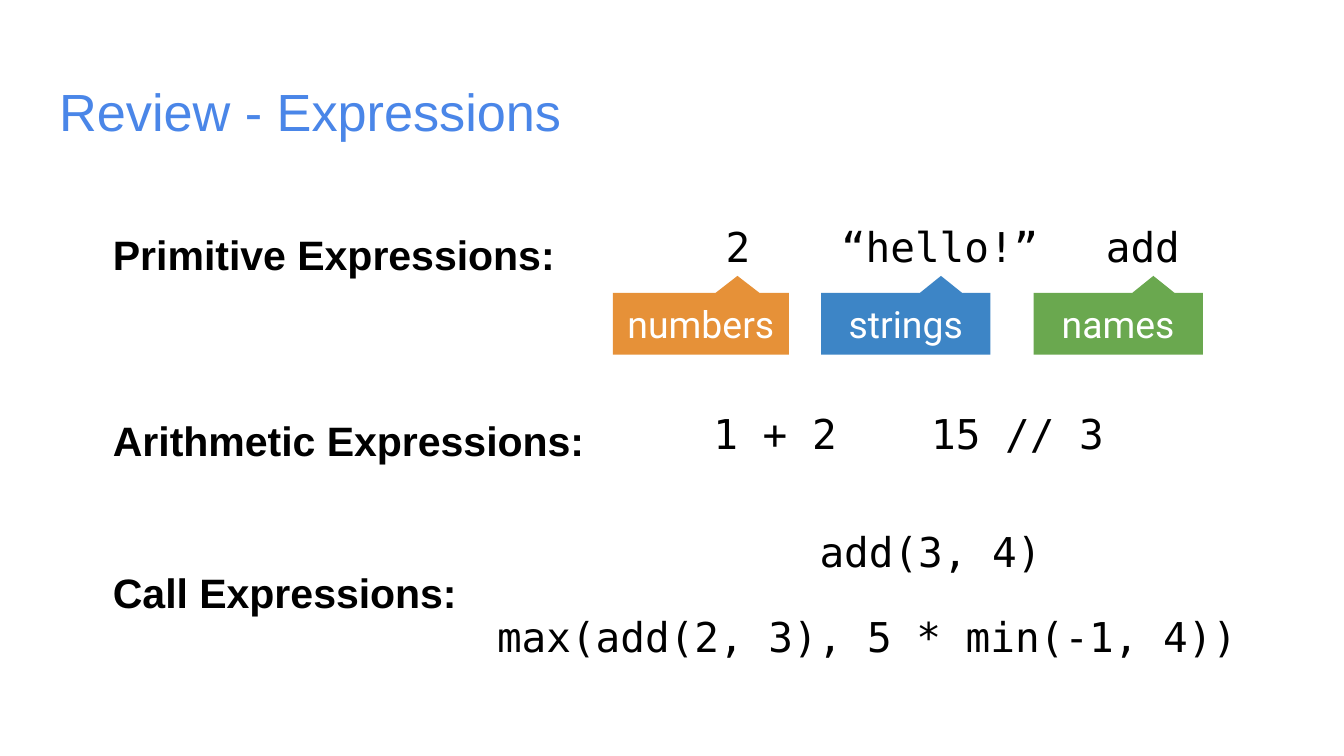
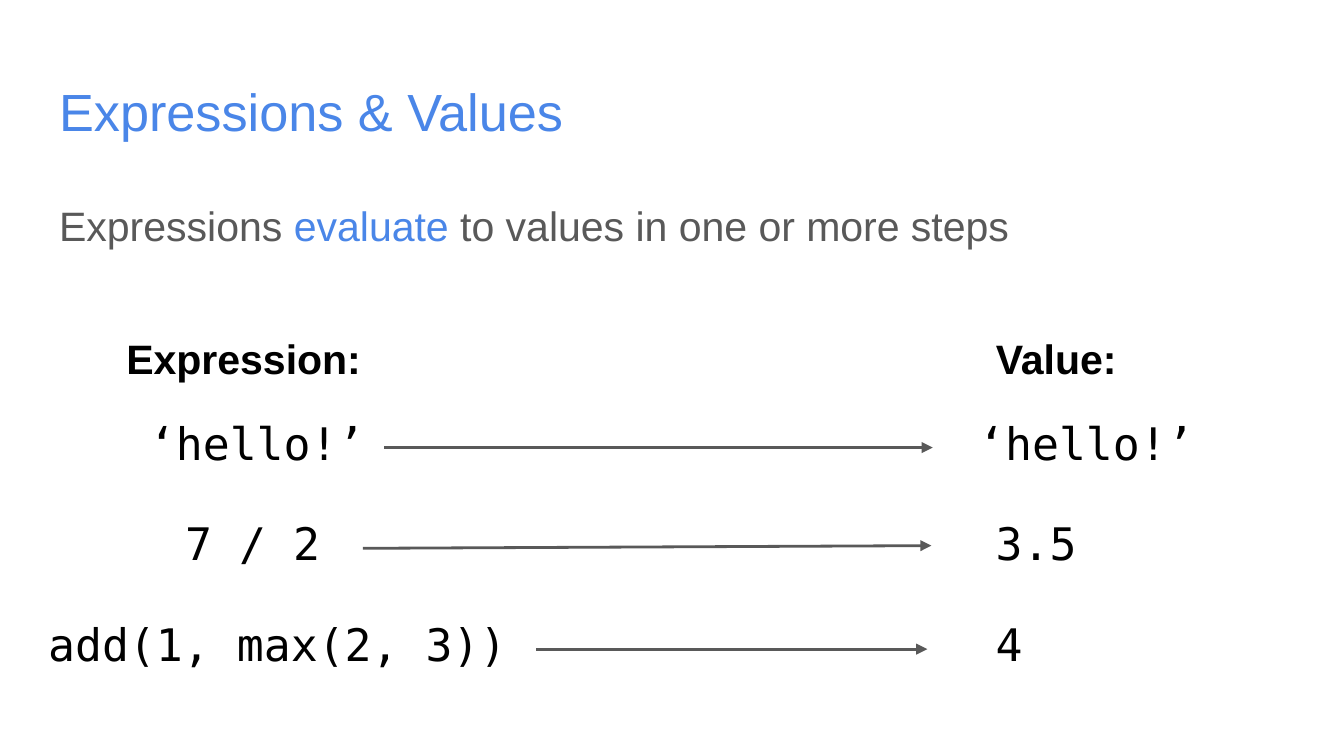
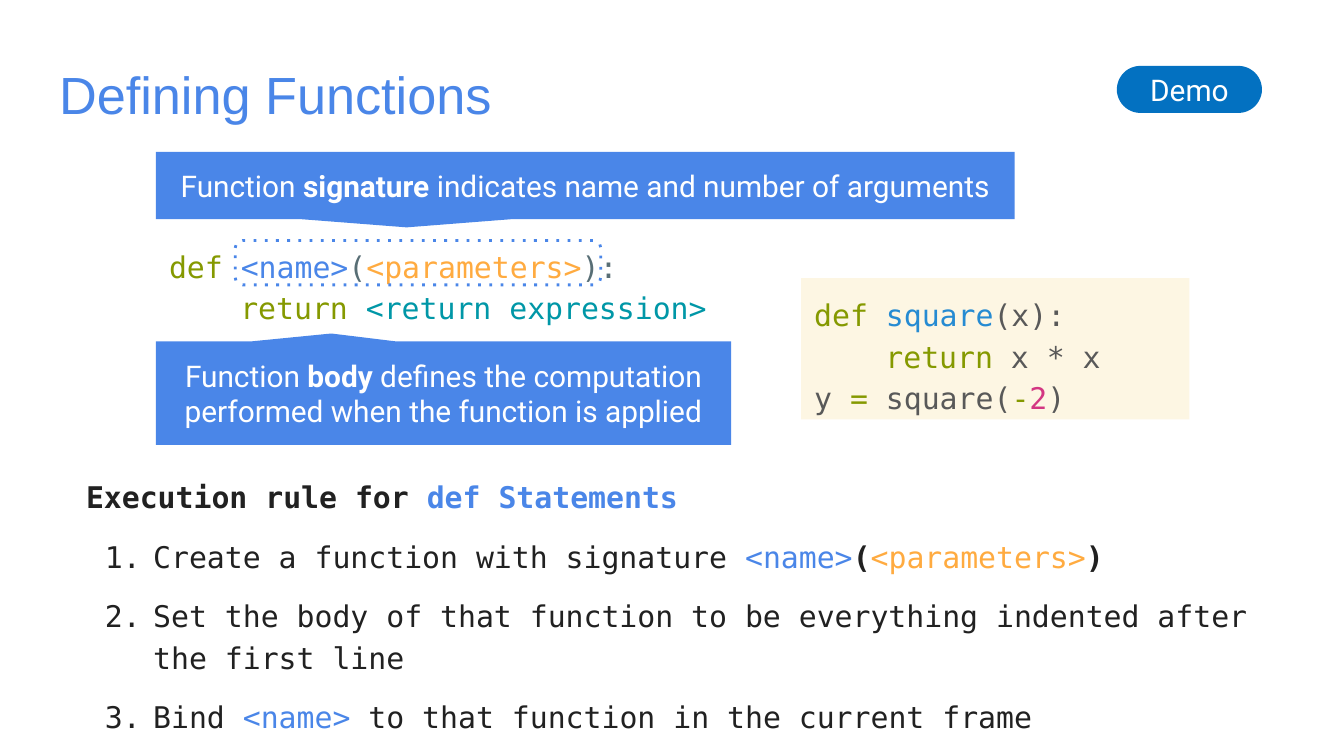
from collections import namedtuple

from lxml import etree
from pptx import Presentation
from pptx.dml.color import RGBColor
from pptx.enum.shapes import MSO_CONNECTOR, MSO_SHAPE
from pptx.enum.text import MSO_ANCHOR, MSO_AUTO_SIZE, PP_ALIGN
from pptx.oxml.ns import qn
from pptx.util import Inches, Pt

STRAIGHT = MSO_CONNECTOR.STRAIGHT
CALLOUT = MSO_SHAPE.ROUNDED_RECTANGULAR_CALLOUT
RECTANGLE = MSO_SHAPE.RECTANGLE
ROUNDED = MSO_SHAPE.ROUNDED_RECTANGLE
TOP, MIDDLE = MSO_ANCHOR.TOP, MSO_ANCHOR.MIDDLE
LEFT, CENTER = PP_ALIGN.LEFT, PP_ALIGN.CENTER
FIXED_SIZE = MSO_AUTO_SIZE.NONE

SANS, MONO, LABEL = "Arial", "DejaVu Sans Mono", "Roboto"
TITLE_AND_BODY, COMPARISON = 1, 4
CODE_INDENT = 0.53
COLORS = {
    "accent": "4A86E8", "black": "000000", "white": "FFFFFF", "gray": "595959",
    "ink": "212121", "orange": "E69138", "blue": "3D85C6", "green": "6AA84F",
    "demo": "0371C1", "cream": "FDF6E3", "keyword": "859900", "slate": "586E75",
    "parameter": "FFAB40", "result": "0097A7", "function": "268BD2", "number": "D33682",
}

Box = namedtuple("Box", "left top width height")
Span = namedtuple("Span", "text color bold", defaults=("black", False))
Line = namedtuple("Line", "spans margin indent before after numbered",
                  defaults=(0, 0, 0, 0, False))


def rgb(name):
    """Return the named colour."""
    return RGBColor.from_string(COLORS[name])


def inches(box):
    """Return the four sides of a box as lengths."""
    return [Inches(side) for side in box]


def add_bullet(para, numbered):
    """Number a paragraph, or clear its bullet."""
    properties = para._p.get_or_add_pPr()
    if not numbered:
        etree.SubElement(properties, qn("a:buNone"))
        return
    color = etree.SubElement(properties, qn("a:buClr"))
    etree.SubElement(color, qn("a:srgbClr"), val=COLORS["ink"])
    etree.SubElement(properties, qn("a:buFont"), typeface=MONO)
    etree.SubElement(properties, qn("a:buAutoNum"), type="arabicPeriod")


def write(shape, lines, face, size, align=LEFT, anchor=TOP, spacing=1.0):
    """Fill a shape with formatted lines of text."""
    frame = shape.text_frame
    frame.word_wrap = True
    frame.auto_size = FIXED_SIZE
    frame.vertical_anchor = anchor
    frame.margin_left = frame.margin_right = Inches(0.1)
    frame.margin_top = frame.margin_bottom = Inches(0.1)
    for number, line in enumerate(lines):
        para = frame.add_paragraph() if number else frame.paragraphs[0]
        para.alignment = align
        para.line_spacing = spacing
        para.space_before, para.space_after = Pt(line.before), Pt(line.after)
        properties = para._p.get_or_add_pPr()
        properties.set("marL", str(Inches(line.margin)))
        properties.set("indent", str(Inches(line.indent)))
        add_bullet(para, line.numbered)
        for part in line.spans:
            span = para.add_run()
            span.text = part.text
            span.font.bold = part.bold
            span.font.color.rgb = rgb(part.color)
            for font in (para.font, span.font):
                font.name, font.size = face, Pt(size)


def fill_placeholder(page, index, box, lines, face, size, spacing=1.0):
    """Move a placeholder to a box and write in it."""
    shape = page.placeholders[index]
    shape.left, shape.top, shape.width, shape.height = inches(box)
    write(shape, lines, face, size, spacing=spacing)


def remove_placeholder(page, index):
    """Remove an unused placeholder."""
    element = page.placeholders[index].element
    element.getparent().remove(element)


def add_page(deck, layout, title, top=0.49):
    """Add a page with the shared title style."""
    page = deck.slides.add_slide(deck.slide_layouts[layout])
    fill_placeholder(page, 0, Box(0.34, top, 9.32, 0.63),
                     [Line([Span(title, "accent")])], SANS, 28)
    return page


def add_heading(page, index, left, top, text):
    """Write a bold heading in a body placeholder."""
    fill_placeholder(page, index, Box(left, top, 3.73, 0.63),
                     [Line([Span(text, bold=True)], after=16)], SANS, 22, 1.15)


def add_code(page, box, lines, size, spacing=1.0):
    """Add a text box of code."""
    write(page.shapes.add_textbox(*inches(box)), lines, MONO, size, spacing=spacing)


def add_panel(page, kind, box, fill=None, adjustments=()):
    """Add a flat shape without outline."""
    shape = page.shapes.add_shape(kind, *inches(box))
    shape.shadow.inherit = False
    shape.line.fill.background()
    if fill:
        shape.fill.solid()
        shape.fill.fore_color.rgb = rgb(fill)
    else:
        shape.fill.background()
    for number, value in enumerate(adjustments):
        shape.adjustments[number] = value
    return shape


def add_label(page, kind, box, fill, adjustments, lines, size):
    """Add a coloured shape with centred white text."""
    shape = add_panel(page, kind, box, fill, adjustments)
    write(shape, lines, LABEL, size, CENTER, MIDDLE)


def add_arrow(page, start, end):
    """Draw a gray arrow between two points."""
    arrow = page.shapes.add_connector(STRAIGHT, *inches(start + end))
    arrow.line.color.rgb = rgb("gray")
    arrow.line.width = Pt(1.5)
    properties = arrow.element.spPr
    etree.SubElement(properties.find(qn("a:ln")), qn("a:tailEnd"), type="triangle")
    etree.SubElement(properties, qn("a:effectLst"))


def add_primitives(page, box):
    """Show primitive values, each above the callout naming its kind."""
    kinds = [
        ("2", 0.74, 1.52, "numbers", 0, 1.31, "orange"),
        ("“hello!”", 1.6, 1.84, "strings", 1.55, 1.26, "blue"),
        ("add", 3.57, 1.52, "names", 3.13, 1.26, "green"),
    ]
    for code, offset, width, kind, shift, label_width, fill in kinds:
        add_code(page, Box(box.left + offset, box.top, width, box.height),
                 [Line([Span(code)])], 22)
        add_label(page, CALLOUT, Box(box.left + shift, box.top + 0.63, label_width, 0.46),
                  fill, (0.208, -0.776, 0), [Line([Span(kind, "white")])], 20)


def build_review(deck):
    """Build the page of expression kinds."""
    page = add_page(deck, COMPARISON, "Review - Expressions")
    headings = [("Primitive", 1.55), ("Arithmetic", 2.94), ("Call", 4.07)]
    for index, (kind, top) in enumerate(headings, 1):
        add_heading(page, index, 0.74, top, f"{kind} Expressions:")
    remove_placeholder(page, 4)
    add_primitives(page, Box(4.56, 1.55, 4.39, 1.26))
    examples = [
        ("1 + 2", 5.21, 2.94, 1.52),
        ("15 // 3", 6.83, 2.94, 1.52),
        ("add(3, 4)", 6, 3.82, 2.14),
        ("max(add(2, 3), 5 * min(-1, 4))", 3.6, 4.45, 6.52),
    ]
    for code, left, top, width in examples:
        add_code(page, Box(left, top, width, 0.63), [Line([Span(code)])], 22)


def add_evaluations(page, box):
    """Show each expression with an arrow to its value."""
    rows = [
        ("‘hello!’", 0.75, 2.07, 2.6, 6.68, 0, "‘hello!’", 6.92, 2.07),
        ("7 / 2", 1.02, 1.54, 2.44, 6.67, -0.02, "3.5", 7.05, 1.14),
        ("add(1, max(2, 3))", 0, 3.73, 3.73, 6.64, 0, "4", 7.05, 1.14),
    ]
    step = box.height / len(rows)
    for number, row in enumerate(rows):
        code, offset, width, start, end, rise, value, value_offset, value_width = row
        top = box.top + number * step
        for text, shift, span in ((code, offset, width), (value, value_offset, value_width)):
            add_code(page, Box(box.left + shift, top, span, 0.51), [Line([Span(text)])], 24)
        add_arrow(page, (box.left + start, top + 0.34),
                  (box.left + end, top + 0.34 + rise))


def build_values(deck):
    """Build the page of expressions and their values."""
    page = add_page(deck, COMPARISON, "Expressions & Values")
    sentence = [Span("Expressions ", "gray"), Span("evaluate", "accent"),
                Span(" to values in one or more steps", "gray")]
    fill_placeholder(page, 1, Box(0.34, 1.34, 9.32, 0.7), [Line(sentence)], SANS, 22, 1.15)
    add_heading(page, 2, 0.84, 2.33, "Expression:")
    add_heading(page, 3, 7.31, 2.33, "Value:")
    remove_placeholder(page, 4)
    add_evaluations(page, Box(0.26, 2.99, 8.99, 2.25))


def add_syntax(page, box):
    """Show the form of a function between two callouts."""
    signature = [Span("def ", "keyword"), Span("<name>", "accent"), Span("(", "slate"),
                 Span("<parameters>", "parameter"), Span("):", "slate")]
    body = [Span("return ", "keyword"), Span("<return expression>", "result")]
    add_code(page, Box(box.left, box.top + 0.58, 4.28, 0.83),
             [Line(signature), Line(body, CODE_INDENT, after=10)], 16, 1.15)

    frame = add_panel(page, ROUNDED, Box(box.left + 0.59, box.top + 0.66, 2.72, 0.33))
    frame.line.color.rgb = rgb("accent")
    frame.line.width = Pt(1.5)
    outline = frame.element.spPr.find(qn("a:ln"))
    etree.SubElement(outline, qn("a:prstDash"), val="dot")

    above = [Span("Function ", "white"), Span("signature", "white", True),
             Span(" indicates name and number of arguments", "white")]
    add_label(page, CALLOUT, Box(box.left, box.top, box.width, 0.5), "accent",
              (-0.208, 0.625, 0), [Line(above)], 16)
    below = [Span("Function ", "white"), Span("body", "white", True),
             Span(" defines the computation", "white")]
    ending = [Span("performed when the function is applied", "white")]
    add_label(page, CALLOUT, Box(box.left, box.top + 1.41, 4.28, 0.77), "accent",
              (-0.195, -0.576, 0), [Line(below), Line(ending)], 16)


def add_example(page, box):
    """Show a sample function on a cream panel."""
    lines = [
        Line([Span("def ", "keyword"), Span("square", "function"), Span("(x):", "gray")]),
        Line([Span("return", "keyword"), Span(" x * x", "gray")], CODE_INDENT),
        Line([Span("y ", "gray"), Span("=", "keyword"), Span(" square(", "gray"),
              Span("-", "keyword"), Span("2", "number"), Span(")", "gray")], after=10),
    ]
    write(add_panel(page, RECTANGLE, box, "cream"), lines, MONO, 16, spacing=1.15)


def add_rule(page, box):
    """List the steps that run a def statement."""
    steps = [
        [Span("Create a function with signature ", "ink"), Span("<name>", "accent"),
         Span("(", "ink", True), Span("<parameters>", "parameter"), Span(")", "ink", True)],
        [Span("Set the body of that function to be everything indented after "
              "the first line", "ink")],
        [Span("Bind ", "ink"), Span("<name>", "accent"),
         Span(" to that function in the current frame", "ink")],
    ]
    heading = Line([Span("Execution rule for ", "ink", True),
                    Span("def Statements", "accent", True)])
    lines = [Line(step, 0.5, -0.36, before=10, numbered=True) for step in steps]
    lines[-1] = lines[-1]._replace(after=10)
    fill_placeholder(page, 1, box, [heading] + lines, MONO, 16, 1.15)


def build_functions(deck):
    """Build the page on defining functions."""
    page = add_page(deck, TITLE_AND_BODY, "Defining Functions", 0.36)
    add_syntax(page, Box(1.16, 1.13, 6.39, 2.18))
    add_example(page, Box(5.96, 2.07, 2.89, 1.05))
    add_rule(page, Box(0.54, 3.42, 8.92, 2.2))
    add_label(page, ROUNDED, Box(8.31, 0.49, 1.08, 0.35), "demo", (0.5,),
              [Line([Span("Demo", "white")])], 16)


def main():
    """Build and save the deck."""
    deck = Presentation()
    deck.slide_width = Inches(10)
    deck.slide_height = deck.slide_width * 9 // 16
    build_review(deck)
    build_values(deck)
    build_functions(deck)
    deck.save("out.pptx")


if __name__ == "__main__":
    main()
